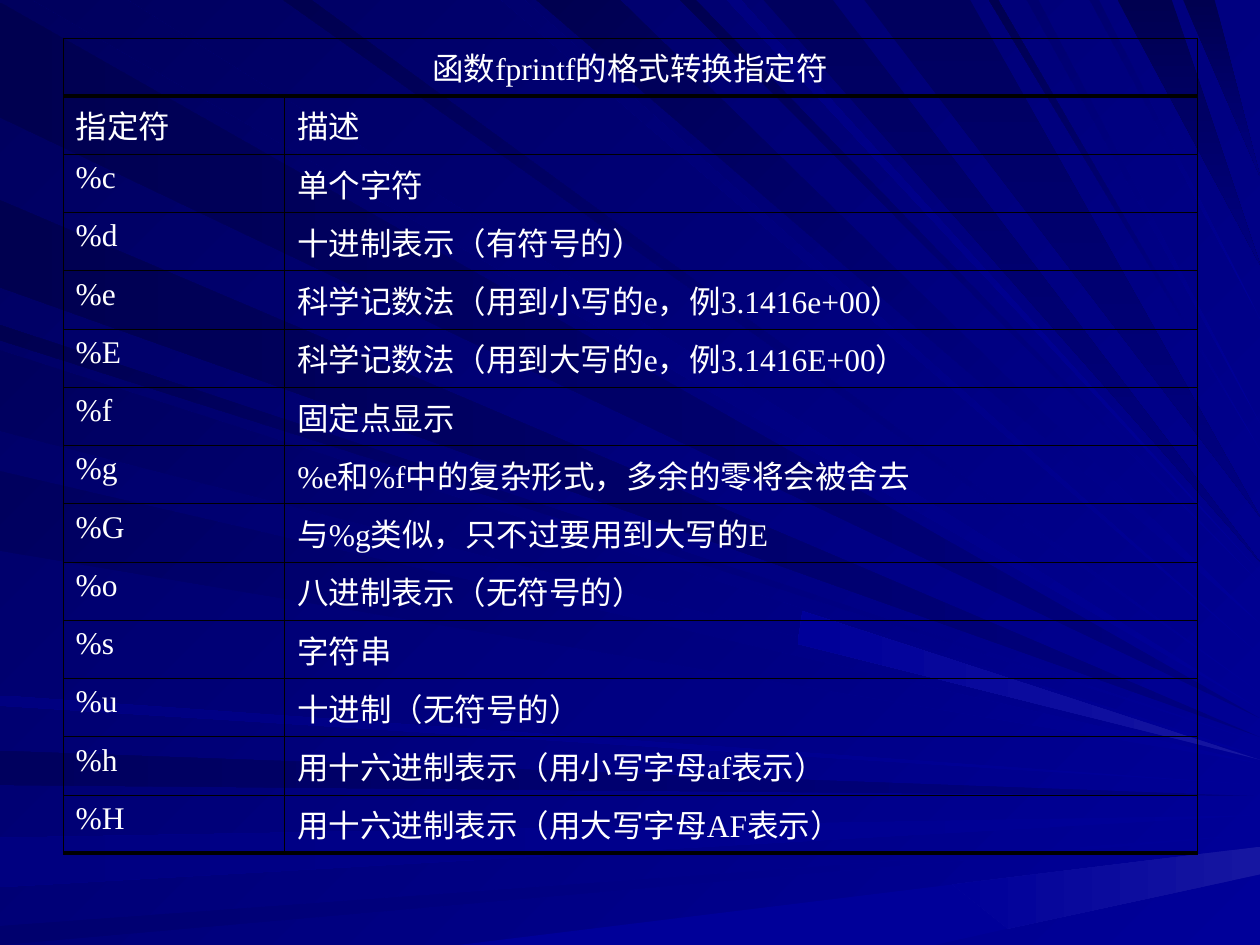
from lxml.etree import SubElement
from pptx import Presentation
from pptx.dml.color import RGBColor
from pptx.enum.text import PP_ALIGN as Align
from pptx.oxml.ns import qn
from pptx.util import Inches, Pt

FONT = "Times New Roman"
WHITE = RGBColor.from_string("FFFFFF")
BLACK = RGBColor.from_string("000000")
BRIGHT = RGBColor.from_string("000099")
GLOW = RGBColor.from_string("1616A1")
NAVY = RGBColor.from_string("000080")
MIDDLE = RGBColor.from_string("00006E")
DUSK = RGBColor.from_string("00005E")
DEEP = RGBColor.from_string("000050")

LEFTWARD, DIAGONAL, DOWNWARD = 180, 135, 270
HAIRLINE, THIN, THICK = 0.34, 0.45, 2.5

LEFT_RAYS = [
    (0.02, 0.93, 5.7, NAVY, DEEP, LEFTWARD),
    (5.96, 6.23, 6.32, NAVY, DUSK, LEFTWARD),
    (6.65, 7.04, 6.47, BRIGHT, NAVY, LEFTWARD),
    (7.35, 7.5, 6.62, BRIGHT, MIDDLE, LEFTWARD),
    (2.58, 2.7, 5.89, BRIGHT, DEEP, DIAGONAL),
    (1.59, 2.28, 5.85, NAVY, DEEP, LEFTWARD),
    (2.78, 3.42, 6, BRIGHT, DUSK, DIAGONAL),
    (3.74, 4.37, 6.06, BRIGHT, DUSK, DIAGONAL),
    (5.52, 5.6, 6.23, BRIGHT, NAVY, LEFTWARD),
]
TOP_RAYS = [
    (0.26, 1.01, 5.63, BRIGHT, DUSK, DIAGONAL),
    (3.98, 4.16, 5.2, BRIGHT, MIDDLE, DIAGONAL),
    (4.26, 4.92, 4.95, BRIGHT, DEEP, DIAGONAL),
    (5.4, 5.52, 4.63, BRIGHT, DEEP, DIAGONAL),
    (6.06, 6.61, 4.46, DUSK, NAVY, DOWNWARD),
    (8.87, 9.3, 2.1, DEEP, NAVY, DOWNWARD),
    (9.39, 9.64, 1.4, DEEP, NAVY, DOWNWARD),
    (2.25, 2.47, 5.5, BRIGHT, DEEP, DIAGONAL),
    (5.77, 5.88, 4.54, BRIGHT, NAVY, DIAGONAL),
    (6.86, 7.7, 4.1, DUSK, NAVY, DOWNWARD),
    (7.85, 7.92, 3.57, BRIGHT, DEEP, DIAGONAL),
    (8.15, 8.24, 3.36, BRIGHT, MIDDLE, DIAGONAL),
    (8.65, 8.72, 2.53, BRIGHT, MIDDLE, DIAGONAL),
]
GLOWS = [
    ([(3.64, 7.5), (7.56, 7.02), (8, 7.37), (7.42, 7.5)], BRIGHT),
    ([(7.56, 7.02), (10, 6.72), (10, 6.94), (8, 7.37)], GLOW),
    ([(6.37, 4.85), (10, 6.03), (6.33, 5.11)], GLOW),
]

TITLE = "函数fprintf的格式转换指定符"
SPECIFIERS = [
    ("指定符", "描述"),
    ("%c", "单个字符"),
    ("%d", "十进制表示（有符号的）"),
    ("%e", "科学记数法（用到小写的e，例3.1416e+00）"),
    ("%E", "科学记数法（用到大写的e，例3.1416E+00）"),
    ("%f", "固定点显示"),
    ("%g", "%e和%f中的复杂形式，多余的零将会被舍去"),
    ("%G", "与%g类似，只不过要用到大写的E"),
    ("%o", "八进制表示（无符号的）"),
    ("%s", "字符串"),
    ("%u", "十进制（无符号的）"),
    ("%h", "用十六进制表示（用小写字母af表示）"),
    ("%H", "用十六进制表示（用大写字母AF表示）"),
]


def paint(fill, start, end, angle):
    if start == end:
        fill.solid()
        fill.fore_color.rgb = start
        return
    fill.gradient()
    fill.gradient_angle = angle
    for stop, color in zip(fill.gradient_stops, (start, end)):
        stop.color.rgb = color


def write_text(frame, text, size=18, color=WHITE, align=Align.LEFT, hanging=0.38):
    paragraph = frame.paragraphs[0]
    paragraph.alignment = align
    properties = paragraph._p.get_or_add_pPr()
    properties.set("marL", str(Inches(hanging)))
    properties.set("indent", str(-Inches(hanging)))
    run = paragraph.add_run()
    run.text = text
    run.font.name = FONT
    run.font.size = Pt(size)
    run.font.color.rgb = color


def set_borders(cell, top, bottom):
    properties = cell._tc.get_or_add_tcPr()
    widths = {"lnL": HAIRLINE, "lnR": HAIRLINE, "lnT": top, "lnB": bottom}
    for side, width in widths.items():
        line = SubElement(properties, qn(f"a:{side}"), w=str(Pt(width)))
        fill = SubElement(line, qn("a:solidFill"))
        SubElement(fill, qn("a:srgbClr"), val=str(BLACK))


def add_polygon(shapes, points, start, end, angle):
    corners = [(Inches(x), Inches(y)) for x, y in points]
    builder = shapes.build_freeform(*corners[0])
    builder.add_line_segments(corners[1:], close=True)
    polygon = builder.convert_to_shape()
    polygon.shadow.inherit = False
    polygon.line.fill.background()
    paint(polygon.fill, start, end, angle)


def add_rays(slide, left, top, width):
    shapes = slide.shapes.add_group_shape().shapes
    right = left + width
    for near, far, tip, *colors in LEFT_RAYS:
        points = [(left, top + near), (right, top + tip), (left, top + far)]
        add_polygon(shapes, points, *colors)
    for near, far, tip, *colors in TOP_RAYS:
        points = [(left + near, top), (right, top + tip), (left + far, top)]
        add_polygon(shapes, points, *colors)
    for corners, color in GLOWS:
        points = [(left + x, top + y) for x, y in corners]
        add_polygon(shapes, points, color, BRIGHT, LEFTWARD)


def add_specifier_table(slide, left, top, width, height):
    rows = [(TITLE, ""), *SPECIFIERS]
    frame = slide.shapes.add_table(
        len(rows), 2, Inches(left), Inches(top), Inches(width), Inches(height))
    table = frame.table
    table.first_row = table.horz_banding = False
    table.columns[0].width = Inches(1.76)
    table.columns[1].width = Inches(width - 1.76)
    table.cell(0, 0).merge(table.cell(0, 1))

    rules = [HAIRLINE, THICK, THIN] + [HAIRLINE] * (len(rows) - 3) + [THICK]
    for row, texts in enumerate(rows):
        for column, text in enumerate(texts):
            cell = table.cell(row, column)
            set_borders(cell, rules[row], rules[row + 1])
            cell.fill.background()
            if text:
                write_text(cell.text_frame, text,
                           align=Align.LEFT if row else Align.CENTER)


def main():
    presentation = Presentation()
    presentation.slide_width = Inches(10)
    presentation.slide_height = Inches(7.5)
    slide = presentation.slides.add_slide(presentation.slide_layouts[6])
    paint(slide.background.fill, BRIGHT, DUSK, DIAGONAL)
    add_rays(slide, 0, 0, 10)
    add_specifier_table(slide, 0.5, 0.3, 9, 6.4)
    presentation.save("out.pptx")


if __name__ == "__main__":
    main()
